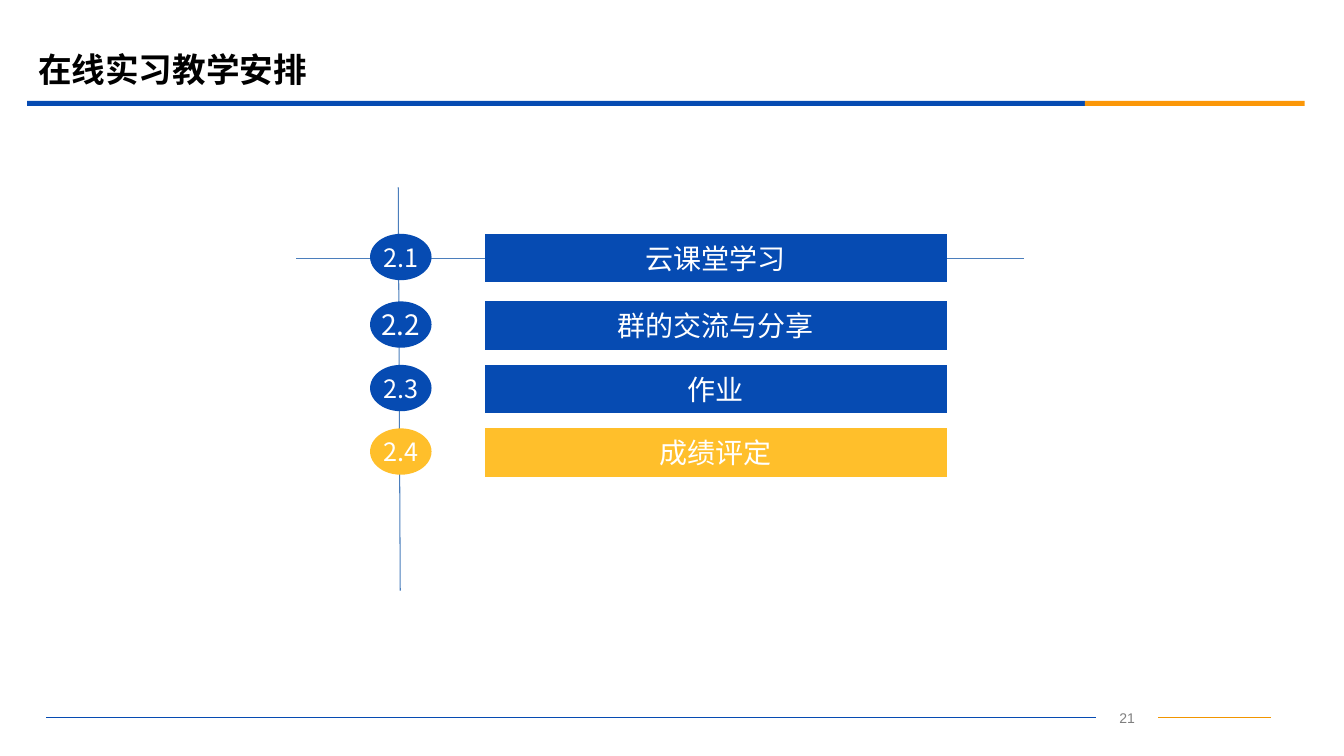
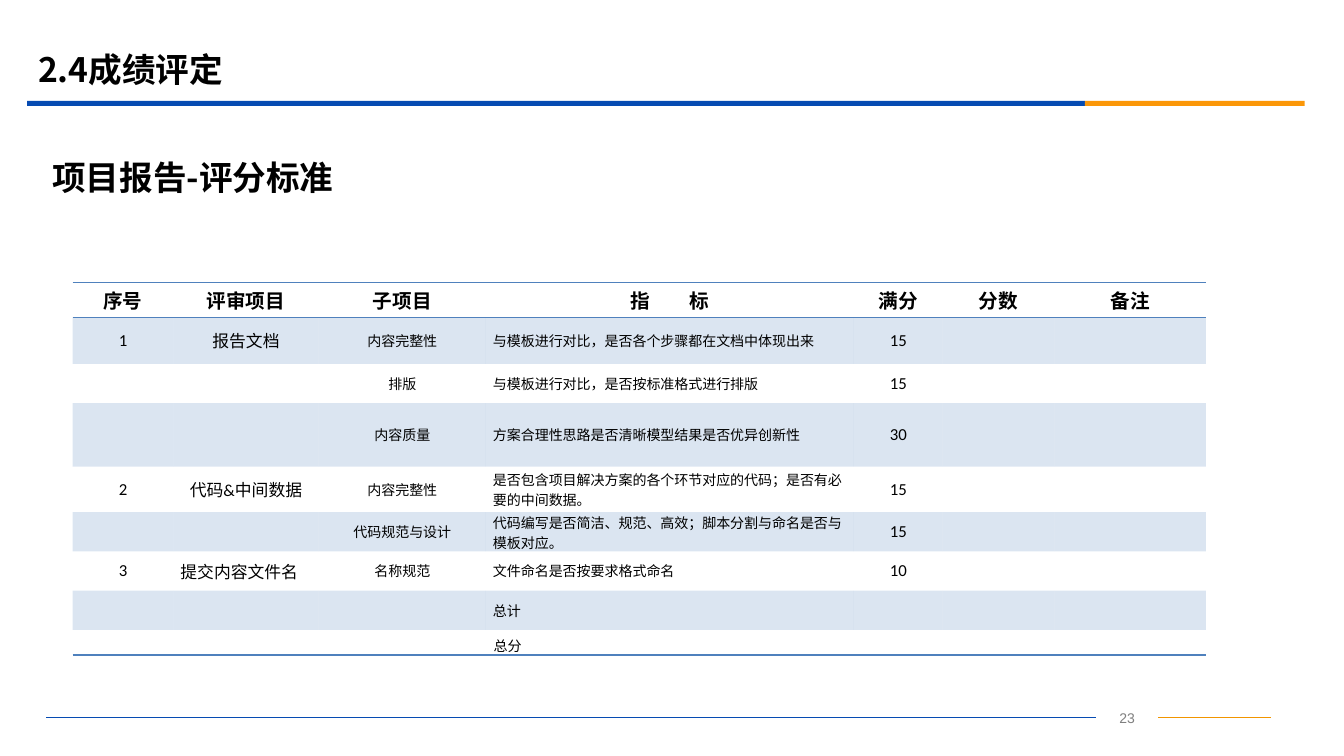
import pptx
import pptx.util
import pptx.dml.color
import pptx.enum.shapes
import pptx.enum.text
import pptx.oxml
import pptx.oxml.ns
import lxml.etree

EMU_PER_PX = 9144
BLUE, ORANGE, YELLOW = "064BB2", "FB9708", "FFBF2B"
AXIS_BLUE, TABLE_BLUE = "4B7EBC", "4F81BD"
HAN_FONT = "Noto Sans CJK SC"
PLAIN_TABLE = "{2D5ABB26-0587-4C30-8999-92F81FD0307C}"
SHAPE = pptx.enum.shapes.MSO_SHAPE
ALIGN = pptx.enum.text.PP_ALIGN
ANCHOR = pptx.enum.text.MSO_ANCHOR
qn = pptx.oxml.ns.qn

TITLE_FONT = {"size": 24, "name": HAN_FONT, "bold": True}
HEADING_PARAGRAPH = {"line_spacing": 1.5, "space_before": pptx.util.Pt(10)}

CHAPTERS = [
    ("2.1", "云课堂学习", 232, 18, BLUE),
    ("2.2", "群的交流与分享", 299, 20, BLUE),
    ("2.3", "作业", 362, 18, BLUE),
    ("2.4", "成绩评定", 425, 18, YELLOW),
]

COLUMN_WIDTHS = [100, 144, 166, 365, 88, 111, 150]
ROW_HEIGHTS = [35, 46, 39, 63, 45, 39, 39, 39, 25]
COLUMN_SIZES = [12, 12, 10, 10, 12, 12, 12]
CRITERIA = [
    ["序号", "评审项目", "子项目", "指标", "满分", "分数", "备注"],
    ["1", "报告文档", "内容完整性", "与模板进行对比，是否各个步骤都在文档中体现出来", "15", "", ""],
    ["", "", "排版", "与模板进行对比，是否按标准格式进行排版", "15", "", ""],
    ["", "", "内容质量", "方案合理性思路是否清晰模型结果是否优异创新性", "30", "", ""],
    ["2", "代码&中间数据", "内容完整性", "是否包含项目解决方案的各个环节对应的代码；是否有必要的中间数据。", "15", "", ""],
    ["", "", "代码规范与设计", "代码编写是否简洁、规范、高效；脚本分割与命名是否与模板对应。", "15", "", ""],
    ["3", "提交内容文件名", "名称规范", "文件命名是否按要求格式命名", "10", "", ""],
    ["", "", "", "总计", "", "", ""],
    ["总分", "", "", "", "", "", ""],
]
LEFT_ALIGNED = {(6, 1)} | {(row, 3) for row in range(1, 8)}


def px(*lengths):
    return [pptx.util.Emu(length * EMU_PER_PX) for length in lengths]


def rgb(value):
    return pptx.dml.color.RGBColor.from_string(value)


def apply(target, values):
    for name, value in values.items():
        setattr(target, name, value)


def add_run(paragraph, text, color="000000", size=12, name=HAN_FONT, bold=False):
    run = paragraph.add_run()
    apply(run, {"text": text})
    apply(run.font, {"size": pptx.util.Pt(size), "name": name, "bold": bold})
    run.font.color.rgb = rgb(color)
    properties = run._r.get_or_add_rPr()
    lxml.etree.SubElement(properties, qn("a:ea"), typeface=HAN_FONT)
    return properties


def add_text(slide, box, text, anchor=ANCHOR.TOP, align=ALIGN.LEFT, paragraph_format=None, **font):
    label = slide.shapes.add_textbox(*px(*box))
    apply(label.text_frame, {"word_wrap": True, "vertical_anchor": anchor})
    paragraph = label.text_frame.paragraphs[0]
    apply(paragraph, {"alignment": align, **(paragraph_format or {})})
    add_run(paragraph, text, **font)
    return label


def add_block(slide, kind, box, color, text="", size=20):
    block = slide.shapes.add_shape(kind, *px(*box))
    block.shadow.inherit = False
    block.fill.solid()
    block.fill.fore_color.rgb = rgb(color)
    block.line.fill.background()
    if text:
        apply(block.text_frame, {"word_wrap": False, "vertical_anchor": ANCHOR.MIDDLE})
        paragraph = block.text_frame.paragraphs[0]
        paragraph.alignment = ALIGN.CENTER
        add_run(paragraph, text, "FFFFFF", size)


def add_line(slide, ends, color):
    line = slide.shapes.add_connector(pptx.enum.shapes.MSO_CONNECTOR.STRAIGHT, *px(*ends))
    line.line.color.rgb = rgb(color)
    line.line.width = pptx.util.Pt(0.75)
    lxml.etree.SubElement(line._element.spPr, qn("a:effectLst"))
    return line


def add_footer(slide, box, number):
    left, top, width, height = box
    middle = top + height // 2
    page_number = add_text(slide, (1087, top, 62, height), number, align=ALIGN.CENTER,
                           color="7F7F7F", size=10, name="Arial")
    right_rule = add_line(slide, (1149, middle, left + width, middle), "F19500")
    right_rule.begin_connect(page_number, 3)
    left_rule = add_line(slide, (left, middle, 1087, middle), BLUE)
    left_rule.end_connect(page_number, 1)


def add_frame(deck, title, number):
    slide = deck.slides.add_slide(deck.slide_layouts[6])
    add_footer(slide, (46, 699, 1215, 26), number)
    add_block(slide, SHAPE.RECTANGLE, (27, 100, 1049, 5), BLUE)
    add_block(slide, SHAPE.RECTANGLE, (1076, 100, 218, 5), ORANGE)
    add_text(slide, (28, 39, 1200, 58), title, ANCHOR.MIDDLE, **TITLE_FONT)
    return slide


def add_agenda(slide, box):
    left, top, width, height = box
    add_line(slide, (left + 101, top, left + 103, top + height), AXIS_BLUE)
    add_line(slide, (left, top + 70, left + width, top + 70), AXIS_BLUE)
    for number, name, row_top, number_size, color in CHAPTERS:
        add_block(slide, SHAPE.ACTION_BUTTON_CUSTOM, (left + 187, row_top, 458, 48), color, name)
        add_block(slide, SHAPE.OVAL, (left + 73, row_top, 61, 46), color, number, number_size)


def add_border(cell, side):
    border = pptx.oxml.parse_xml(
        f'<a:{side} {pptx.oxml.ns.nsdecls("a")} w="12700"><a:solidFill>'
        f'<a:srgbClr val="{TABLE_BLUE}"/></a:solidFill></a:{side}>')
    cell._tc.get_or_add_tcPr().insert(0, border)


def fill_cell(cell, row, column, text):
    header, last = row == 0, row == len(CRITERIA) - 1
    apply(cell, {
        "margin_left": px(7)[0], "margin_right": px(7)[0], "margin_top": 0, "margin_bottom": 0,
        "vertical_anchor": ANCHOR.BOTTOM if last else ANCHOR.MIDDLE,
    })
    if row % 2:
        cell.fill.solid()
        cell.fill.fore_color.rgb = rgb(TABLE_BLUE)
        tint = cell._tc.tcPr.find(".//" + qn("a:srgbClr"))
        lxml.etree.SubElement(tint, qn("a:alpha"), val="20000")
    else:
        cell.fill.background()
    if header or last:
        add_border(cell, "lnB")
    if header:
        add_border(cell, "lnT")
    paragraph = cell.text_frame.paragraphs[0]
    paragraph.alignment = ALIGN.LEFT if (row, column) in LEFT_ALIGNED else ALIGN.CENTER
    size = 14 if header else 10 if last else COLUMN_SIZES[column]
    font = {"size": size, "name": "Calibri", "bold": header}
    if not text:
        lxml.etree.SubElement(paragraph._p, qn("a:endParaRPr"), sz="1000")
    elif header and column == 3:
        add_run(paragraph, text[0], **font).set("spc", "2860")
        add_run(paragraph, text[1], **font)
    else:
        add_run(paragraph, text, **font)


def add_criteria(slide, left, top):
    box = (left, top, sum(COLUMN_WIDTHS), sum(ROW_HEIGHTS))
    criteria = slide.shapes.add_table(len(ROW_HEIGHTS), len(COLUMN_WIDTHS), *px(*box)).table
    apply(criteria, {"first_row": False, "horz_banding": False})
    criteria._tbl.tblPr.find(qn("a:tableStyleId")).text = PLAIN_TABLE
    for column, width in zip(criteria.columns, px(*COLUMN_WIDTHS)):
        column.width = width
    for row, height in zip(criteria.rows, px(*ROW_HEIGHTS)):
        row.height = height
    for row, texts in enumerate(CRITERIA):
        for column, text in enumerate(texts):
            fill_cell(criteria.cell(row, column), row, column, text)
    total = len(CRITERIA) - 1
    criteria.cell(total, 0).merge(criteria.cell(total, 4))


def main():
    deck = pptx.Presentation()
    deck.slide_width, deck.slide_height = px(1333, 750)

    agenda = add_frame(deck, "在线实习教学安排", "21")
    add_agenda(agenda, (294, 186, 722, 400))

    grading = add_frame(deck, "2.4成绩评定", "23")
    add_text(grading, (42, 131, 1266, 565), "项目报告-评分标准",
             paragraph_format=HEADING_PARAGRAPH, **TITLE_FONT)
    add_criteria(grading, 72, 280)

    deck.save("out.pptx")


if __name__ == "__main__":
    main()
